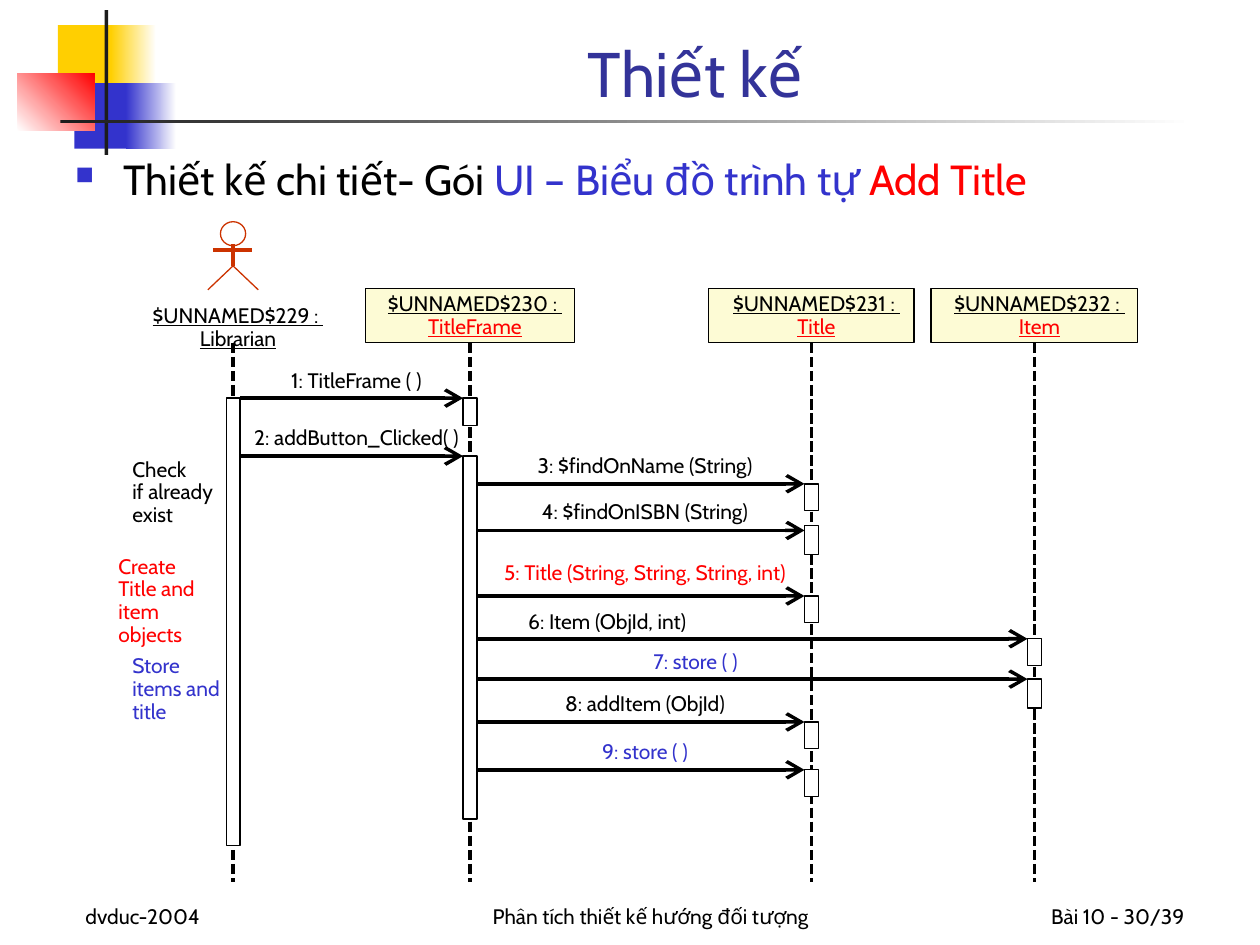
from collections import namedtuple
from lxml.etree import SubElement
from pptx import Presentation
from pptx.dml.color import RGBColor
from pptx.enum.dml import MSO_LINE as Dash
from pptx.enum.shapes import MSO_CONNECTOR as Link, MSO_SHAPE as Kind
from pptx.enum.text import MSO_ANCHOR as Anchor, PP_ALIGN as Align
from pptx.oxml.ns import qn
from pptx.util import Inches, Pt

BLACK = RGBColor(0x00, 0x00, 0x00)
WHITE = RGBColor(0xFF, 0xFF, 0xFF)
INK = RGBColor(0x1C, 0x1C, 0x1C)
GOLD = RGBColor(0xFF, 0xCF, 0x01)
BLUE = RGBColor(0x33, 0x33, 0xCC)
NAVY = RGBColor(0x33, 0x33, 0x99)
RED = RGBColor(0xFF, 0x00, 0x00)
RUST = RGBColor(0xCC, 0x33, 0x00)
CREAM = RGBColor(0xFD, 0xFB, 0xD5)

COLS, ROWS = 100, 75
CELL = Inches(10) / COLS
Box = namedtuple("Box", "x y w h")
BARE = dict(margin_left=0, margin_top=0, margin_right=0, margin_bottom=0)

LANES = [9.5, 28.3, 55.4, 73.1]
HEADS = [(1, 16.6, "$UNNAMED$230 : ", "TitleFrame"),
         (2, 16.3, "$UNNAMED$231 : ", "Title"),
         (3, 16.4, "$UNNAMED$232 : ", "Item")]
BARS = [(0, 14.6, 35.5), (1, 14.6, 2.2), (1, 19.2, 28.8),
        (2, 21.4, 2.1), (2, 24.7, 2.3), (2, 30.3, 2.1), (2, 40.3, 2.1),
        (2, 44.1, 2.1), (3, 33.7, 2.1), (3, 36.9, 2.3)]
CALLS = [(0, 1, 14.6, 19.3, 12, 2.4, "1: TitleFrame ( )", BLACK),
         (0, 1, 19.2, 19.3, 17.9, 2.5, "2: addButton_Clicked( )", BLACK),
         (1, 2, 21.4, 42.2, 19, 2.5, "3: $findOnName (String)", BLACK),
         (1, 2, 25.1, 42.2, 18.1, 2.5, "4: $findOnISBN (String)", BLACK),
         (1, 2, 30.3, 42.2, 25.4, 2.9, "5: Title (String, String, String, int)", RED),
         (1, 3, 33.7, 39.2, 14.2, 2.4, "6: Item (ObjId, int)", BLACK),
         (1, 3, 36.9, 46.2, 7.7, 2.4, "7: store ( )", BLUE),
         (1, 2, 40.3, 42.2, 14.3, 2.5, "8: addItem (ObjId)", BLACK),
         (1, 2, 44.1, 42.2, 7.7, 2.5, "9: store ( )", BLUE)]
NOTES = [(1.5, 19.4, ["Check", "if already ", "exist"], BLACK),
         (0.4, 27.1, ["Create", "Title and", "item ", "objects"], RED),
         (1.5, 35, ["Store", "items and", "title"], BLUE)]


def style(item, form):
    """Set each format value on the item."""
    for name, value in form.items():
        setattr(item, name, value)


def cells(*nums):
    """Turn grid cells into lengths."""
    return [round(num * CELL) for num in nums]


def within(box, x, y, w, h):
    """Shift a part into its box."""
    return Box(box.x + x, box.y + y, w, h)


def outline(shape, tint):
    """Give a shape a hairline, or none."""
    if tint is None:
        shape.line.fill.background()
    else:
        shape.line.color.rgb = tint
        shape.line.width = Pt(0)


def block(slide, box, fill, line=None, kind=Kind.RECTANGLE):
    """Add a flat shape."""
    shape = slide.shapes.add_shape(kind, *cells(*box))
    shape.shadow.inherit = False
    if fill is None:
        shape.fill.background()
    else:
        shape.fill.solid()
        shape.fill.fore_color.rgb = fill
    outline(shape, line)
    return shape


def fade(slide, box, start, end, angle=0):
    """Add a block that blends two colours."""
    fill = block(slide, box, start).fill
    fill.gradient()
    fill.gradient_angle = angle
    for stop, tint, place in zip(fill.gradient_stops, (start, end), (0, 1)):
        stop.color.rgb = tint
        stop.position = place


def stroke(slide, box, x, y, x2, y2, tint=BLACK):
    """Add a hairline inside the box."""
    ends = cells(box.x + x, box.y + y, box.x + x2, box.y + y2)
    line = slide.shapes.add_connector(Link.STRAIGHT, *ends)
    outline(line, tint)
    SubElement(line._element.spPr, qn("a:effectLst"))
    return line


def write(shape, lines, frame=None, para=None, **font):
    """Fill a shape with paragraphs of (text, colour) runs."""
    text = shape.text_frame
    style(text, {"word_wrap": True, **(frame or {})})
    for num, line in enumerate(lines):
        part = text.add_paragraph() if num else text.paragraphs[0]
        style(part, para or {})
        for words, tint in line:
            run = part.add_run()
            run.text = words
            style(run.font, {"name": "Cabin", "size": Pt(12), **font})
            run.font.color.rgb = tint
    return text


def label(slide, box, lines, **form):
    """Add a text box."""
    return write(slide.shapes.add_textbox(*cells(*box)), lines, **form)


def motif(slide, box):
    """Draw the coloured corner and its rules."""
    block(slide, within(box, 3.2, 1.2, 4.8, 5.2), GOLD)
    fade(slide, within(box, 7.4, 1.2, 3.6, 5.2), GOLD, WHITE)
    block(slide, within(box, 4.5, 5.8, 4.6, 5.2), BLUE)
    fade(slide, within(box, 8.6, 5.8, 4, 5.2), BLUE, WHITE)
    fade(slide, within(box, 0, 5, 6.1, 4.6), WHITE, RED, 45)
    block(slide, within(box, 6.9, 0, 0.3, box.h), INK)
    fade(slide, within(box, 3.4, 8.7, box.w - 3.4, 0.3), INK, WHITE)


def title(slide, box):
    """Write the slide title."""
    label(slide, box, [[("Thiết kế", NAVY)]], size=Pt(36),
          frame=dict(vertical_anchor=Anchor.BOTTOM), para=dict(alignment=Align.CENTER))


def topic(slide, box):
    """Write the bulleted line."""
    runs = [("Thiết kế chi tiết- Gói ", BLACK), ("UI – Biểu đồ trình tự ", BLUE), ("Add Title", RED)]
    text = label(slide, box, [runs], size=Pt(24))
    props = text.paragraphs[0]._p.get_or_add_pPr()
    props.set("marL", str(Inches(0.38)))
    props.set("indent", str(-Inches(0.38)))
    SubElement(SubElement(props, qn("a:buClr")), qn("a:srgbClr"), val=str(BLUE))
    SubElement(props, qn("a:buSzPct"), val="60000")
    SubElement(props, qn("a:buChar"), char="■")


def actor(slide, box):
    """Draw the stick figure and its name."""
    mid = box.w / 2
    block(slide, within(box, mid - 1, 0, 2, 1.9), None, RUST, Kind.OVAL)
    stroke(slide, box, mid, 1.8, mid, 3.5, RUST)
    stroke(slide, box, mid - 1.6, 2.25, mid + 1.5, 2.25, RUST)
    spots = [cells(box.x + x, box.y + y) for x, y in [(mid - 2, 5.4), (mid, 3.5), (mid + 2, 5.4)]]
    path = slide.shapes.build_freeform(*spots[0])
    path.add_line_segments(spots[1:], close=False)
    legs = path.convert_to_shape()
    legs.shadow.inherit = False
    legs.fill.background()
    outline(legs, RUST)
    label(slide, within(box, 0.4, 6.6, box.w, 3.8),
          [[("$UNNAMED$229 : ", BLACK)], [("Librarian", BLACK)]], frame=BARE,
          para=dict(alignment=Align.CENTER, line_spacing=Pt(13)), underline=True)


def chart(slide, box):
    """Draw the lanes, bars, calls and notes."""
    actor(slide, within(box, LANES[0] - 7.3, 0.6, 14.6, 10.2))
    for x in LANES:
        stroke(slide, box, x, 10.2, x, box.h).line.dash_style = Dash.SQUARE_DOT
    for lane, wide, name, kind in HEADS:
        head = block(slide, within(box, LANES[lane] - wide / 2, 5.9, wide, 4.3), CREAM, BLACK)
        write(head, [[(name, BLACK)], [(kind, RED)]],
              frame={**BARE, "margin_left": round(0.8 * CELL), "vertical_anchor": Anchor.MIDDLE},
              para=dict(alignment=Align.CENTER, line_spacing=Pt(13)), underline=True)
    for lane, y, high in BARS:
        block(slide, within(box, LANES[lane] - 0.55, y, 1.1, high), WHITE, BLACK)
    for start, end, y, mid, wide, lift, words, tint in CALLS:
        line = stroke(slide, box, LANES[start] + 0.55, y, LANES[end] - 0.55, y)
        SubElement(line.line._get_or_add_ln(), qn("a:tailEnd"), type="arrow", w="lg", len="lg")
        label(slide, within(box, mid - wide / 2, y - lift, wide, 2), [[(words, tint)]],
              frame={**BARE, "word_wrap": False}, para=dict(alignment=Align.CENTER))
    for x, y, lines, tint in NOTES:
        label(slide, within(box, x, y, 7.8, 1.8 * len(lines)), [[(line, tint)] for line in lines],
              frame=BARE, para=dict(line_spacing=Pt(13)))


def footer(slide, box):
    """Write the three footer texts."""
    parts = [(0, 20.8, "dvduc-2004", Align.LEFT),
             (26.7, 38.3, "Phân tích thiết kế hướng đối tượng", Align.CENTER),
             (box.w - 20.8, 20.8, "Bài 10 - 30/39", Align.RIGHT)]
    for x, wide, words, side in parts:
        label(slide, within(box, x, 0, wide, box.h), [[(words, BLACK)]],
              frame=dict(vertical_anchor=Anchor.BOTTOM), para=dict(alignment=side))


def main():
    """Build and save the slide."""
    deck = Presentation()
    deck.slide_width, deck.slide_height = cells(COLS, ROWS)
    slide = deck.slides.add_slide(deck.slide_layouts[6])
    motif(slide, Box(1.4, 0.8, 93.4, 11.5))
    title(slide, Box(12.6, 0.8, 85.2, 8.4))
    topic(slide, Box(5, 11.7, 91.7, 5.2))
    chart(slide, Box(9, 17, 82, 53))
    footer(slide, Box(5.8, 69.2, 89.2, 5))
    deck.save("out.pptx")


if __name__ == "__main__":
    main()
